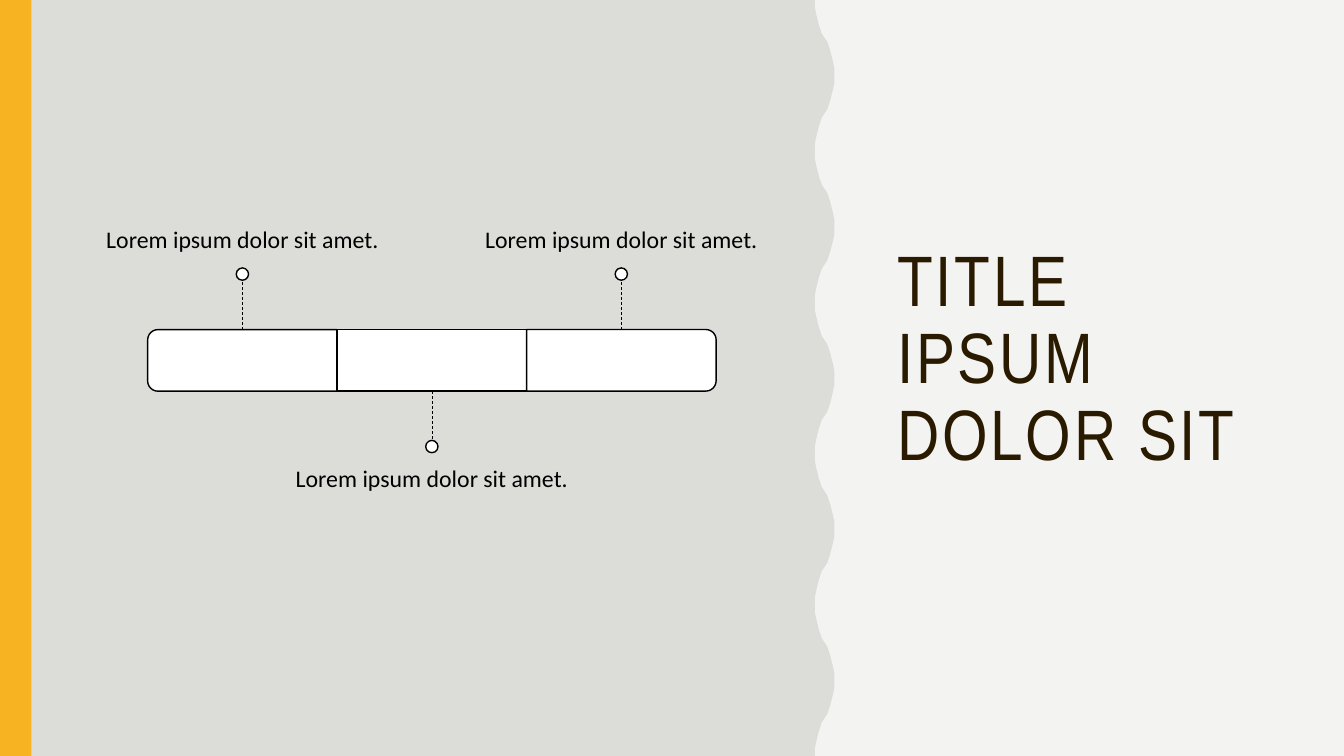
from lxml.etree import SubElement
from pptx import Presentation
from pptx.dml.color import RGBColor
from pptx.enum.dml import MSO_LINE as Dash
from pptx.enum.shapes import MSO_CONNECTOR as Link, MSO_SHAPE as Kind
from pptx.enum.text import MSO_ANCHOR as Anchor, MSO_AUTO_SIZE as Fit, PP_ALIGN as Align
from pptx.oxml.ns import qn
from pptx.util import Pt

COLORS = {"page": "F3F3F2", "panel": "DCDCD9", "stripe": "F8B323",
          "title": "2A1A00", "ink": "000000", "part": "FFFFFF"}
WAVE = [(0, 0), (0.4, 5), (1, 10), (1.8, 14.2), (3, 17.8), (4.2, 21), (5.6, 24), (7.2, 27),
        (8.8, 30), (10.2, 33), (11.4, 36.2), (12.6, 39.8), (13.4, 44), (14, 49), (14.4, 54)]
LABELS = ["Lorem ipsum dolor sit amet."] * 3


def color(name):
    return RGBColor.from_string(COLORS[name])


def paint(shape, fill, line=None):
    shape.shadow.inherit = False
    shape.fill.solid()
    shape.fill.fore_color.rgb = color(fill)
    if line:
        shape.line.color.rgb = color(line)
        shape.line.width = Pt(1)
    else:
        shape.line.fill.background()


def add_part(slide, kind, box, fill, line=None):
    shape = slide.shapes.add_shape(kind, *map(Pt, box))
    paint(shape, fill, line)
    return shape


def add_panel(slide, box):
    left, top, width, height = box
    depth, half = WAVE[-1]
    edge = left + width - depth
    points = []
    for turn in range(round(height / half)):
        for x, y in WAVE:
            shift = depth - x if turn % 2 else x
            points.append((edge + shift, top + turn * half + y))
    points.append((left, top + height))
    outline = slide.shapes.build_freeform(left, top, scale=Pt(1))
    outline.add_line_segments(points, close=True)
    paint(outline.convert_to_shape(), "panel")
    add_part(slide, Kind.RECTANGLE, (left, top, 22.5, height), "stripe")


def add_label(slide, text, box, above):
    frame = slide.shapes.add_textbox(*map(Pt, box)).text_frame
    frame.word_wrap = True
    frame.margin_left = frame.margin_right = 0
    frame.margin_top = Pt(0 if above else 10)
    frame.margin_bottom = Pt(10 if above else 0)
    frame.vertical_anchor = Anchor.BOTTOM if above else Anchor.TOP
    para = frame.paragraphs[0]
    para.text = text
    para.alignment = Align.CENTER
    para.line_spacing = 0.9
    para.font.size = Pt(17)
    para.font.name = "Calibri"
    para.font.color.rgb = color("ink")


def add_stem(slide, x, start, end, part=None):
    stem = slide.shapes.add_connector(Link.STRAIGHT, Pt(x), Pt(start), Pt(x), Pt(end))
    if part:
        stem.begin_connect(part, 2)
    stem.line.color.rgb = color("ink")
    stem.line.width = Pt(0.5)
    stem.line.dash_style = Dash.DASH
    props = stem.element.find(qn("p:spPr"))
    SubElement(props, qn("a:effectLst"))


def add_bar(slide, box):
    left, top, width, height = box
    step = width / len(LABELS)
    reach, dot, wide, tall = 35.2, 8.8, 225.4, 153.4
    for index, text in enumerate(LABELS):
        mid = left + (index + 0.5) * step
        above = index % 2 == 0
        if above:
            place = (mid - height / 2, top + (height - step) / 2, height, step)
            part = add_part(slide, Kind.ROUND_2_SAME_RECTANGLE, place, "part", "ink")
            part.rotation = 270 if index == 0 else 90
            near, far = top, top - reach
            spot, note = far - dot, far - dot - tall
        else:
            place = (mid - step / 2, top, step, height)
            part = add_part(slide, Kind.RECTANGLE, place, "part", "ink")
            near, far = top + height, top + height + reach
            spot, note = far, far + dot
        add_label(slide, text, (mid - wide / 2, note, wide, tall), above)
        add_stem(slide, mid, near, far, None if above else part)
        add_part(slide, Kind.OVAL, (mid - dot / 2, spot, dot, dot), "part", "ink")


def add_title(slide, text, box):
    title = slide.shapes.title
    title.left, title.top, title.width, title.height = map(Pt, box)
    frame = title.text_frame
    frame.word_wrap = True
    frame.auto_size = Fit.NONE
    frame.vertical_anchor = Anchor.MIDDLE
    para = frame.paragraphs[0]
    para.text = text
    para.alignment = Align.LEFT
    para.line_spacing = 0.9
    para.font.size = Pt(51)
    para.font.name = "Arial Narrow"
    para.font.color.rgb = color("title")
    run = title.element.find(".//" + qn("a:r"))
    run.get_or_add_rPr().set("spc", "200")


def main():
    deck = Presentation()
    deck.slide_width, deck.slide_height = Pt(960), Pt(540)
    slide = deck.slides.add_slide(deck.slide_layouts[5])
    back = slide.background.fill
    back.solid()
    back.fore_color.rgb = color("page")
    add_panel(slide, (0, 0, 596.2, 540))
    add_bar(slide, (105.5, 235.4, 406, 44))
    add_title(slide, "TITLE IPSUM DOLOR SIT", (633.6, 38.2, 288, 438.5))
    deck.save("out.pptx")


if __name__ == "__main__":
    main()
